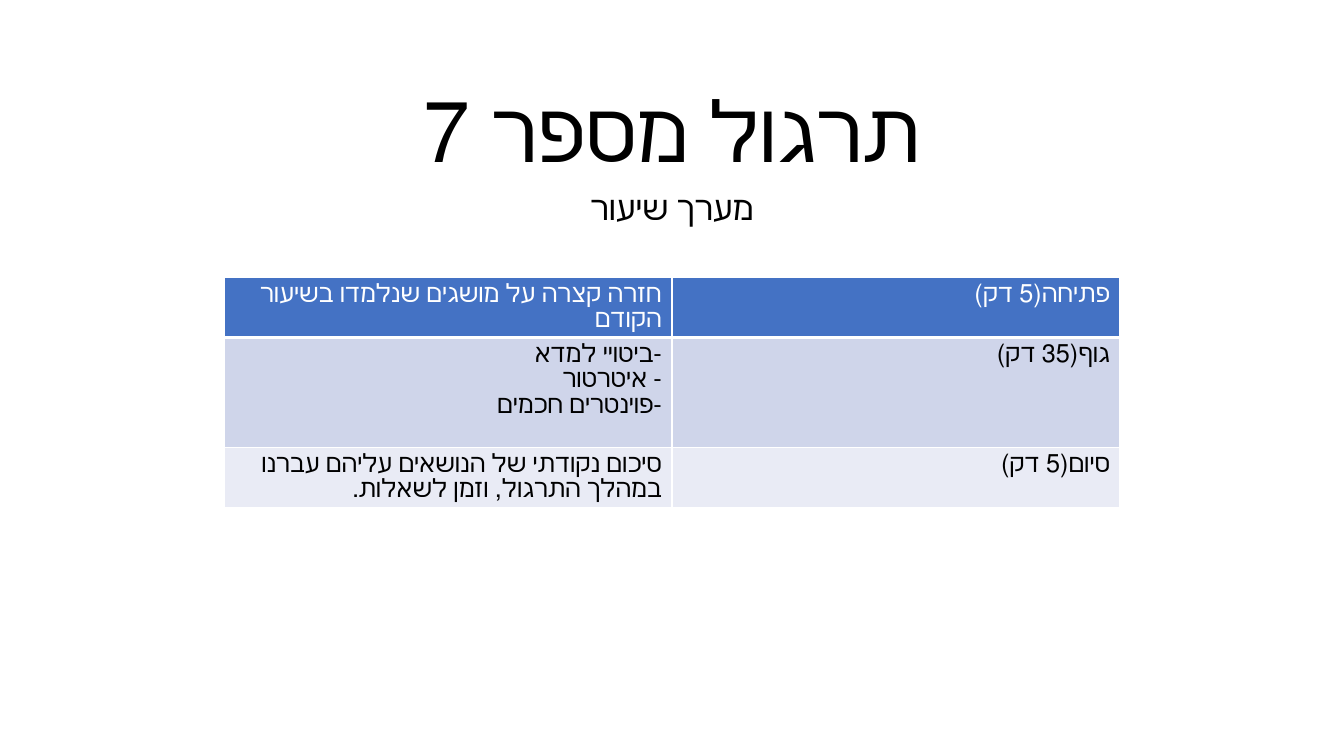
from lxml.etree import SubElement
from pptx import Presentation
from pptx.dml.color import RGBColor
from pptx.enum.text import MSO_ANCHOR, MSO_AUTO_SIZE, PP_ALIGN
from pptx.oxml.ns import qn
from pptx.util import Pt

WIDE, HIGH = 1344, 756
SCALE = 12192000 / WIDE

FONT = "Calibri"
BLACK = RGBColor(0x00, 0x00, 0x00)
WHITE = RGBColor(0xFF, 0xFF, 0xFF)
BLUE = RGBColor(0x44, 0x72, 0xC4)
BAND = RGBColor(0xCF, 0xD5, 0xEA)
PALE = RGBColor(0xE9, 0xEB, 0xF5)

# Row height, fill, text colour, then the two cells
PLAN = [
    (60, BLUE, WHITE, "חזרה קצרה על מושגים שנלמדו בשיעור הקודם", "פתיחה(5 דק)"),
    (110, BAND, BLACK, "-ביטויי למדא\v- איטרטור\v-פוינטרים חכמים", "גוף(35 דק)"),
    (60, PALE, BLACK,
     "סיכום נקודתי של הנושאים עליהם עברנו במהלך התרגול, וזמן לשאלות.",
     "סיום(5 דק)"),
]


def px(count):
    return round(count * SCALE)


def write(frame, text, size=18, color=BLACK, align=PP_ALIGN.RIGHT,
          line=1.0, before=0):
    """Fill a frame with one right-to-left paragraph."""
    para = frame.paragraphs[0]
    para.text = text
    para.alignment = align
    para.line_spacing = line
    para.space_before = Pt(before)
    para._p.get_or_add_pPr().set("rtl", "1")
    for run in para.runs:
        run.font.name = FONT
        run.font.size = Pt(size)
        run.font.bold = False
        run.font.color.rgb = color


def place(holder, box, text, anchor, **style):
    """Move a placeholder and write its centred text."""
    holder.left, holder.top, holder.width, holder.height = map(px, box)
    frame = holder.text_frame
    frame.word_wrap = True
    frame.auto_size = MSO_AUTO_SIZE.NONE
    frame.vertical_anchor = anchor
    write(frame, text, align=PP_ALIGN.CENTER, line=0.9, **style)


def edge(cell, base):
    """Draw white borders round a cell; base is the bottom width."""
    props = cell._tc.get_or_add_tcPr()
    for side, width in (("L", 1), ("R", 1), ("T", 1), ("B", base)):
        line = SubElement(props, qn("a:ln" + side), w=str(Pt(width)))
        fill = SubElement(line, qn("a:solidFill"))
        SubElement(fill, qn("a:srgbClr"), val=str(WHITE))


def add_plan(slide, left, top, width):
    """Add the lesson table."""
    high = sum(row[0] for row in PLAN)
    table = slide.shapes.add_table(
        len(PLAN), 2, px(left), px(top), px(width), px(high)).table
    for col in table.columns:
        col.width = px(width // 2)
    for i, (tall, fill, color, *texts) in enumerate(PLAN):
        table.rows[i].height = px(tall)
        for j, text in enumerate(texts):
            cell = table.cell(i, j)
            edge(cell, 3 if i == 0 else 1)
            cell.fill.solid()
            cell.fill.fore_color.rgb = fill
            write(cell.text_frame, text, color=color)


def main():
    deck = Presentation()
    deck.slide_width, deck.slide_height = px(WIDE), px(HIGH)
    slide = deck.slides.add_slide(deck.slide_layouts[0])

    # Headings
    place(slide.shapes.title, (168, -77, 1008, 263), "תרגול מספר 7",
          MSO_ANCHOR.BOTTOM, size=60)
    place(slide.placeholders[1], (168, 186, 1008, 182), "מערך שיעור",
          MSO_ANCHOR.TOP, size=24, before=10)

    # Lesson plan
    add_plan(slide, 224, 277, 896)
    deck.save("out.pptx")


if __name__ == "__main__":
    main()
